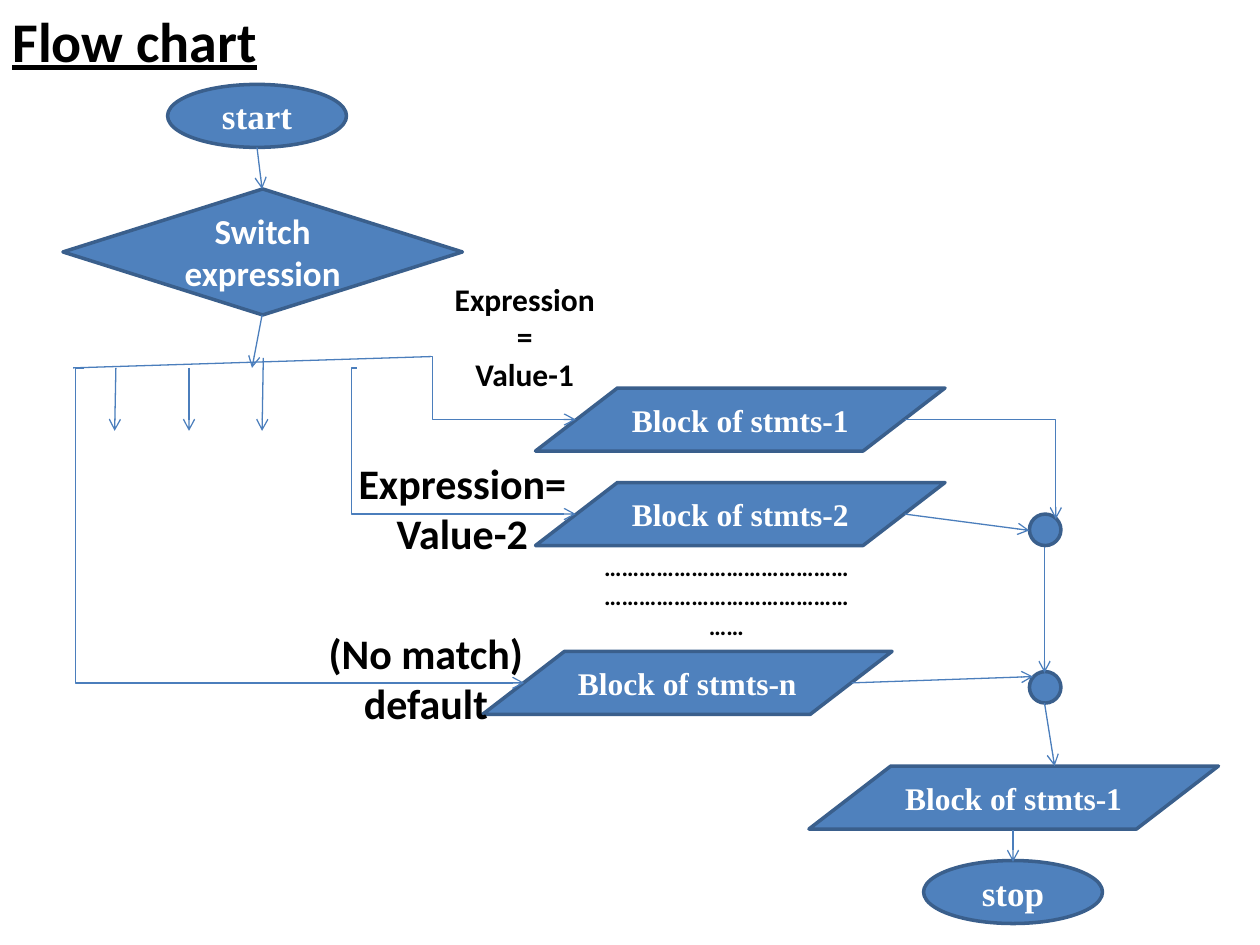
from dataclasses import dataclass

from lxml import etree
from pptx import Presentation
from pptx.dml.color import RGBColor
from pptx.enum.shapes import MSO_CONNECTOR, MSO_SHAPE
from pptx.enum.text import MSO_ANCHOR, PP_ALIGN
from pptx.oxml.ns import qn
from pptx.util import Inches, Pt

OVAL = MSO_SHAPE.FLOWCHART_CONNECTOR
DATA = MSO_SHAPE.FLOWCHART_DATA
DECISION = MSO_SHAPE.FLOWCHART_DECISION
STRAIGHT = MSO_CONNECTOR.STRAIGHT
ELBOW = MSO_CONNECTOR.ELBOW
LEFT = PP_ALIGN.LEFT
CENTER = PP_ALIGN.CENTER
TOP = MSO_ANCHOR.TOP
MIDDLE = MSO_ANCHOR.MIDDLE


@dataclass(frozen=True)
class Theme:
    fill: RGBColor = RGBColor(0x4F, 0x81, 0xBD)
    outline: RGBColor = RGBColor(0x3A, 0x5F, 0x8C)
    flow: RGBColor = RGBColor(0x4B, 0x7E, 0xBC)
    light: RGBColor = RGBColor(0xFF, 0xFF, 0xFF)
    dark: RGBColor = RGBColor(0, 0, 0)
    sans: str = "Calibri"
    serif: str = "Times New Roman"
    title: int = 32
    branch: int = 24
    terminal: int = 20
    block: int = 18
    dots: int = 14


THEME = Theme()


def write(sp, lines, size, font, color, align=CENTER, anchor=TOP, underline=None):
    tf = sp.text_frame
    tf.word_wrap = True
    tf.vertical_anchor = anchor
    tf.text = "\n".join(lines)
    for p in tf.paragraphs:
        p.alignment = align
        p.font.size = Pt(size)
        p.font.name = font
        p.font.bold = True
        p.font.underline = underline
        p.font.color.rgb = color


def add_node(s, kind, box, lines=(), size=THEME.block, font=THEME.serif):
    sp = s.shapes.add_shape(kind, *map(Inches, box))
    sp.shadow.inherit = False
    sp.fill.solid()
    sp.fill.fore_color.rgb = THEME.fill
    sp.line.color.rgb = THEME.outline
    sp.line.width = Pt(2)
    if lines:
        write(sp, lines, size, font, THEME.light, anchor=MIDDLE)


def add_label(s, box, lines, size, wrap=True, **style):
    sp = s.shapes.add_textbox(*map(Inches, box))
    write(sp, lines, size, THEME.sans, THEME.dark, **style)
    sp.text_frame.word_wrap = wrap


def add_flow(s, start, end, kind=STRAIGHT, arrow=True):
    cxn = s.shapes.add_connector(kind, *map(Inches, start + end))
    cxn.line.color.rgb = THEME.flow
    cxn.line.width = Pt(0.75)
    if arrow:
        etree.SubElement(cxn.line._get_or_add_ln(), qn("a:tailEnd"), type="arrow")
    etree.SubElement(cxn._element.spPr, qn("a:effectLst"))
    return cxn


def add_branch(s, start, end, bend):
    cxn = add_flow(s, start, end, ELBOW)
    guides = cxn._element.spPr.find(qn("a:prstGeom")).get_or_add_avLst()
    etree.SubElement(guides, qn("a:gd"), name="adj1", fmla=f"val {round(bend * 100000)}")


def add_corner(s, start, end):
    cxn = add_flow(s, start, end, ELBOW)
    cxn._element.spPr.find(qn("a:prstGeom")).set("prst", "bentConnector2")


def main():
    prs = Presentation()
    prs.slide_width, prs.slide_height = Inches(10), Inches(7.5)
    s = prs.slides.add_slide(prs.slide_layouts[6])

    add_label(s, (0, 0, 9.58, 7.5), ["Flow chart"], THEME.title,
              align=LEFT, underline=True)

    for text, x, y in (("start", 1.33, 0.67), ("stop", 7.33, 6.83)):
        add_node(s, OVAL, (x, y, 1.42, 0.5), [text], THEME.terminal)
    for suffix, x, y in (("1", 4.25, 3.08), ("2", 4.25, 3.83),
                         ("n", 3.83, 5.17), ("1", 6.42, 6.08)):
        add_node(s, DATA, (x, y, 3.25, 0.5), [f"Block of stmts-{suffix}"])
    for y in (4.08, 5.33):
        add_node(s, OVAL, (8.17, y, 0.25, 0.25))
    add_node(s, DECISION, (0.5, 1.5, 3.17, 1), ["Switch", "expression"],
             THEME.terminal, THEME.sans)

    add_flow(s, (0.58, 2.92), (3.42, 2.83), arrow=False)
    for start, end, bend in (((3.42, 2.83), (4.57, 3.33), 0.009),
                             ((2.83, 2.92), (4.57, 4.08), -0.022),
                             ((0.67, 2.92), (4.16, 5.42), -0.021)):
        add_branch(s, start, end, bend)
    add_corner(s, (7.18, 3.33), (8.38, 4.12))
    for start, end in (((2.09, 2.84), (2.08, 3.42)),
                       ((1.5, 2.92), (1.5, 3.42)),
                       ((0.92, 2.92), (0.91, 3.42)),
                       ((2.04, 1.17), (2.08, 1.5)),
                       ((2.08, 2.5), (2, 2.92)),
                       ((7.18, 4.08), (8.17, 4.21)),
                       ((6.76, 5.42), (8.2, 5.37)),
                       ((8.29, 4.34), (8.29, 5.34)),
                       ((8.29, 5.58), (8.37, 6.08)),
                       ((8.04, 6.59), (8.04, 6.84))):
        add_flow(s, start, end)

    add_label(s, (3.5, 2.17, 1.33, 1.01), ["Expression=", "Value-1"], THEME.block)
    add_label(s, (2.67, 3.58, 2, 0.91), ["Expression=", "Value-2"], THEME.branch)
    add_label(s, (2.5, 4.93, 1.76, 0.91), ["(No match)", "default"], THEME.branch,
              wrap=False)
    add_label(s, (4.67, 4.33, 2.19, 0.8), ["…" * 30], THEME.dots)

    prs.save("out.pptx")


main()
